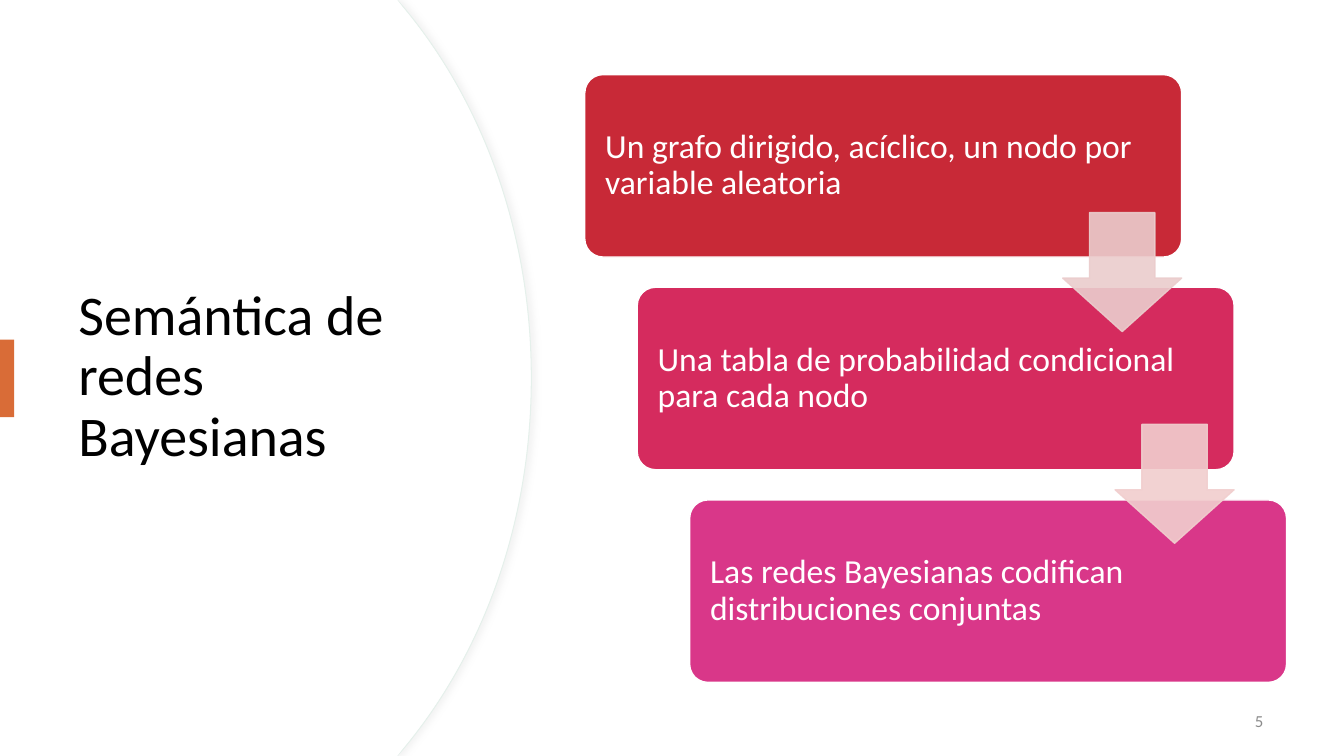
from lxml import etree
from pptx import Presentation
from pptx.dml.color import RGBColor
from pptx.enum import shapes, text
from pptx.oxml import ns
from pptx.util import Inches, Pt

WHITE = RGBColor(0xFF, 0xFF, 0xFF)
BLACK = RGBColor(0, 0, 0)
GRAY = RGBColor(0x8B, 0x8B, 0x8B)
EDGE = RGBColor(0xE5, 0xF0, 0xEB)
SHADE = RGBColor(0xD9, 0xD9, 0xD9)
ORANGE = RGBColor(0xD9, 0x6C, 0x37)
STEPS = [
    ("Un grafo dirigido, acíclico, un nodo por variable aleatoria",
     RGBColor(0xC8, 0x29, 0x37)),
    ("Una tabla de probabilidad condicional para cada nodo",
     RGBColor(0xD5, 0x2B, 0x5E)),
    ("Las redes Bayesianas codifican distribuciones conjuntas",
     RGBColor(0xD9, 0x37, 0x89)),
]
ARROWS = [RGBColor(0xEB, 0xCD, 0xCD), RGBColor(0xF1, 0xCE, 0xCE)]
LEFT, RIGHT = text.PP_ALIGN.LEFT, text.PP_ALIGN.RIGHT
KIND = shapes.MSO_SHAPE


def apply(item, **vals):
    for key, val in vals.items():
        setattr(item, key, val)


def paint(shape, fill, line=None, width=1):
    shape.shadow.inherit = False
    shape.fill.solid()
    shape.fill.fore_color.rgb = fill
    if line is None:
        shape.line.fill.background()
    else:
        shape.line.color.rgb = line
        shape.line.width = Pt(width)


def add(slide, kind, box, fill, line=None, adj=()):
    shape = slide.shapes.add_shape(kind, *map(Inches, box))
    paint(shape, fill, line)
    for i, val in enumerate(adj):
        shape.adjustments[i] = val
    return shape


def write(shape, words, size, color, align=LEFT, **para):
    frame = shape.text_frame
    apply(frame, word_wrap=True, vertical_anchor=text.MSO_ANCHOR.MIDDLE)
    p = frame.paragraphs[0]
    p.text = words
    apply(p, alignment=align, **para)
    apply(p.font, size=Pt(size), name="Calibri")
    p.font.color.rgb = color


def label(slide, box, *args, **para):
    write(slide.shapes.add_textbox(*map(Inches, box)), *args, **para)


def fade(shape, alpha):
    """Make the fill and line of a shape partly clear."""
    for clr in shape._element.spPr.iter(ns.qn("a:srgbClr")):
        etree.SubElement(clr, ns.qn("a:alpha"), val=str(alpha * 1000))


def cast(shape):
    """Give a shape a soft shadow to its right."""
    fx = shape._element.spPr.find(ns.qn("a:effectLst"))
    drop = etree.SubElement(fx, ns.qn("a:outerShdw"), blurRad=str(Pt(4)),
                            dist=str(Pt(3)), dir="0", algn="l", rotWithShape="0")
    clr = etree.SubElement(drop, ns.qn("a:srgbClr"), val=str(SHADE))
    etree.SubElement(clr, ns.qn("a:alpha"), val="30000")


def bend(shape, first):
    """Turn three line ends, from the given one on, into a cubic curve."""
    lines = list(shape._element.spPr.iter(ns.qn("a:lnTo")))[first:first + 3]
    cubic = etree.Element(ns.qn("a:cubicBezTo"))
    lines[0].addprevious(cubic)
    for line in lines:
        cubic.append(line[0])
        line.getparent().remove(line)


def curve(slide, box, trim=0):
    """White panel whose right side bulges outward."""
    x, y, w, h = box
    edge = w - trim
    top = [(w - 1.33, 0), (edge - 1.26, 0.08), (edge - 0.48, 1.02), (edge, 2.31)]
    low = [(px, h - py) for px, py in reversed(top)]
    pts = top + [(edge, h / 2)] + low + [(0, h)]
    form = slide.shapes.build_freeform(Inches(x), Inches(y))
    form.add_line_segments([(Inches(x + px), Inches(y + py)) for px, py in pts])
    panel = form.convert_to_shape()
    for _ in range(2):
        bend(panel, 2)
    return panel


def heading(slide, box):
    x, y, w, h = box
    back = curve(slide, box)
    paint(back, WHITE, EDGE, 0.75)
    cast(back)
    paint(curve(slide, box, 0.01), WHITE)
    label(slide, (x + 0.68, y + 1.27, 3.94, 4.95),
          "Semántica de redes Bayesianas", 40, BLACK, line_spacing=0.9)
    # Accent tab on the slide edge
    add(slide, KIND.RECTANGLE, (x, y + 3.37, 0.14, 0.77), ORANGE)


def stairs(slide, box):
    x, y, w, h = box
    dx, dy, wide, tall, size = 0.52, 2.11, w - 1.04, h - 4.22, 1.18
    # Step cards
    for i, (words, color) in enumerate(STEPS):
        card = add(slide, KIND.ROUNDED_RECTANGLE,
                   (x + i * dx, y + i * dy, wide, tall), color, WHITE, [0.1])
        pad = Inches(0.15)
        apply(card.text_frame, margin_left=pad, margin_top=pad,
              margin_right=Inches(0.1), margin_bottom=pad)
        write(card, words, 24, WHITE, line_spacing=0.9, space_after=Pt(8.4))
    # Arrows across the gaps
    for i, color in enumerate(ARROWS):
        spot = (x + wide - size + i * dx, y + 1.37 + i * (dy - 0.01), size, size)
        fade(add(slide, KIND.DOWN_ARROW, spot, color, color, [0.55, 0.45]), 90)


def main():
    deck = Presentation()
    apply(deck, slide_width=Inches(13.33), slide_height=Inches(7.5))
    slide = deck.slides.add_slide(deck.slide_layouts[6])
    heading(slide, (0, 0, 5.27, 7.5))
    # Slide number
    label(slide, (9.63, 6.95, 3, 0.4), "5", 12, GRAY, RIGHT, space_after=Pt(6))
    stairs(slide, (5.8, 0.74, 6.96, 6.03))
    deck.save("out.pptx")


if __name__ == "__main__":
    main()
